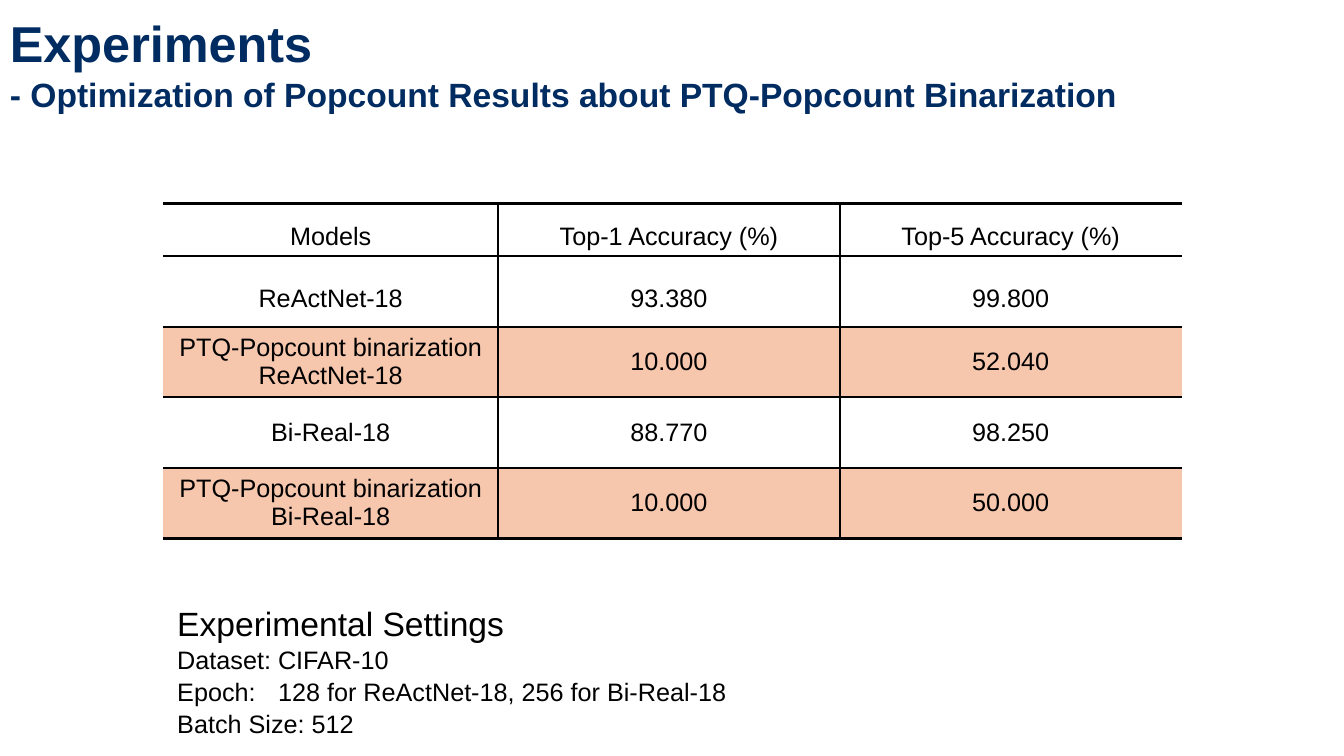
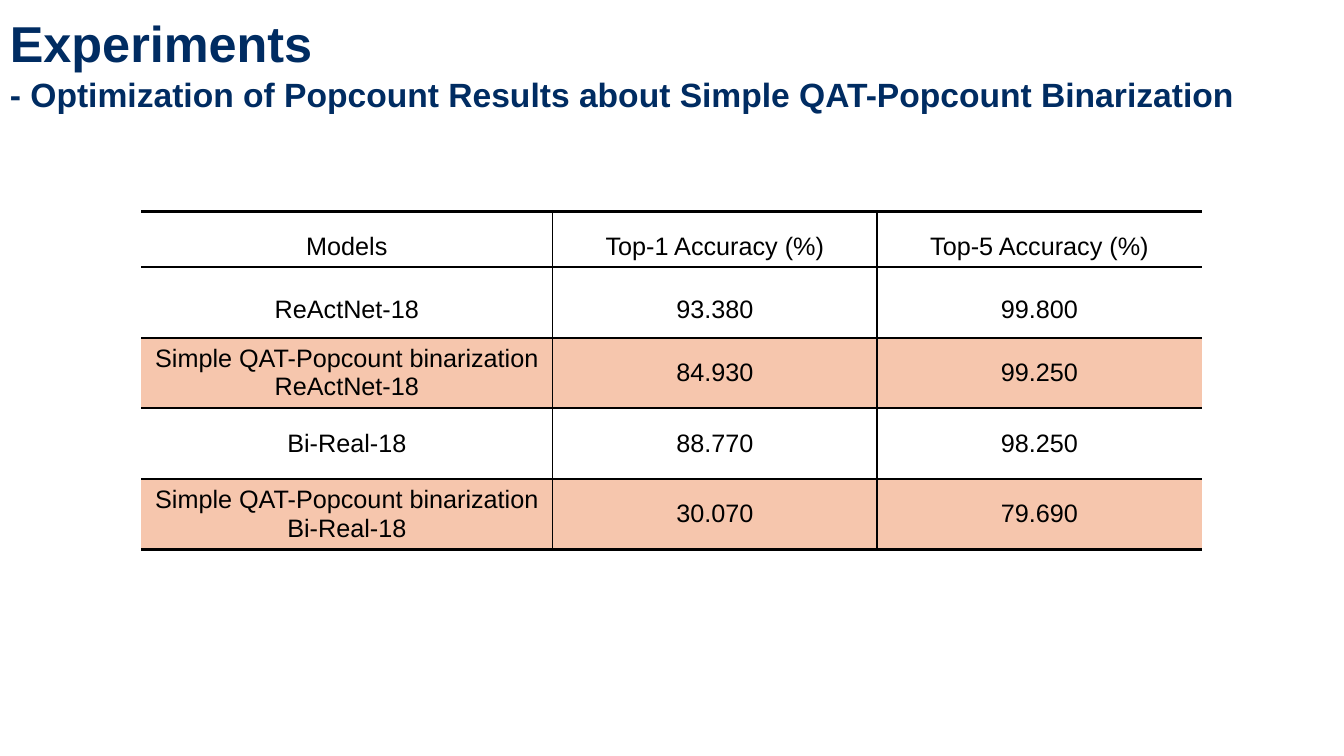
from lxml.etree import SubElement
from pptx import Presentation
from pptx.dml.color import RGBColor
from pptx.enum.text import MSO_ANCHOR, PP_ALIGN
from pptx.oxml.ns import qn
from pptx.util import Inches, Pt

FONT = "Arial"
NAVY = "002C62"
BLACK = "000000"
PEACH = "F6C6AD"
THIN, THICK = 1.5, 2.25
TEXT_SPACING = 1.05
HEADER_HEIGHT, ROW_HEIGHT = 0.52, 0.7
HEADINGS = ["Models", "Top-1 Accuracy (%)", "Top-5 Accuracy (%)"]


def color(hex_value):
    """Turn a hex string into a colour."""
    return RGBColor.from_string(hex_value)


def write_line(paragraph, text, size, hex_value=BLACK, bold=False):
    """Add one styled run to a paragraph."""
    run = paragraph.add_run()
    run.text = text
    run.font.name = FONT
    run.font.size = Pt(size)
    run.font.bold = bold
    run.font.color.rgb = color(hex_value)


def paragraphs_for(frame, lines):
    """Yield a paragraph of the frame together with each line."""
    for index, line in enumerate(lines):
        yield frame.paragraphs[0] if index == 0 else frame.add_paragraph(), line


def add_text(slide, box, lines, anchor=MSO_ANCHOR.TOP, tab=None, **style):
    """Add a text box with one paragraph for each (text, size) line."""
    frame = slide.shapes.add_textbox(*map(Inches, box)).text_frame
    frame.word_wrap = True
    frame.vertical_anchor = anchor
    for paragraph, (text, size) in paragraphs_for(frame, lines):
        paragraph.line_spacing = TEXT_SPACING
        if tab and "\t" in text:
            stops = SubElement(paragraph._p.get_or_add_pPr(), qn("a:tabLst"))
            SubElement(stops, qn("a:tab"), pos=str(Inches(tab)), algn="l")
        write_line(paragraph, text, size, **style)


def add_title(slide, subtitle):
    """Add the shared two-line title."""
    lines = [("Experiments", 36), (f"- {subtitle}", 24)]
    add_text(slide, (0, 0, 13.33, 1.22), lines, MSO_ANCHOR.MIDDLE,
             hex_value=NAVY, bold=True)


def set_border(cell, side, width):
    """Draw one cell edge, or clear it when the width is zero."""
    edge = SubElement(cell._tc.get_or_add_tcPr(), qn(f"a:ln{side}"), w=str(Pt(width)))
    if width:
        fill = SubElement(edge, qn("a:solidFill"))
        SubElement(fill, qn("a:srgbClr"), val=BLACK)
    else:
        SubElement(edge, qn("a:noFill"))


def fill_cell(cell, text, spacing, highlighted):
    """Write centred lines into a cell and set its background."""
    cell.vertical_anchor = MSO_ANCHOR.MIDDLE
    for paragraph, line in paragraphs_for(cell.text_frame, text.split("\n")):
        paragraph.alignment = PP_ALIGN.CENTER
        paragraph.line_spacing = spacing
        write_line(paragraph, line, 18)
    if highlighted:
        cell.fill.solid()
        cell.fill.fore_color.rgb = color(PEACH)
    else:
        cell.fill.background()


def add_results(slide, left, top, widths, results):
    """Add the accuracy table with open sides and highlighted binarized models."""
    rows = [HEADINGS, *results]
    heights = [HEADER_HEIGHT] + [ROW_HEIGHT] * len(results)
    box = map(Inches, (left, top, sum(widths), sum(heights)))
    table = slide.shapes.add_table(len(rows), len(widths), *box).table
    table.first_row = table.horz_banding = False
    for column, width in zip(table.columns, widths):
        column.width = Inches(width)
    last_row, last_column = len(rows) - 1, len(widths) - 1
    for r, (values, height) in enumerate(zip(rows, heights)):
        table.rows[r].height = Inches(height)
        for c, value in enumerate(values):
            cell = table.cell(r, c)
            set_border(cell, "L", THIN if c else 0)
            set_border(cell, "R", THIN if c < last_column else 0)
            set_border(cell, "T", THIN if r else THICK)
            set_border(cell, "B", THIN if r < last_row else THICK)
            fill_cell(cell, value, 1.5 if r < 2 else 1.0, "\n" in values[0])


def add_experiment(deck, method, left, top, widths, react_scores, bireal_scores):
    """Add a slide comparing the baselines with one binarization method."""
    slide = deck.slides.add_slide(deck.slide_layouts[6])
    add_results(slide, left, top, widths, [
        ["ReActNet-18", "93.380", "99.800"],
        [f"{method} binarization\nReActNet-18", *react_scores],
        ["Bi-Real-18", "88.770", "98.250"],
        [f"{method} binarization\nBi-Real-18", *bireal_scores],
    ])
    add_title(slide, f"Optimization of Popcount Results about {method} Binarization")
    return slide


def main():
    """Build and save the deck."""
    deck = Presentation()
    deck.slide_width, deck.slide_height = Inches(13.33), Inches(7.5)
    ptq_slide = add_experiment(deck, "PTQ-Popcount", 1.62, 2.02, (3.32, 3.39, 3.39),
                               ("10.000", "52.040"), ("10.000", "50.000"))
    add_text(ptq_slide, (1.66, 5.91, 8.4, 1.41), [
        ("Experimental Settings", 24),
        ("Dataset:\tCIFAR-10", 18),
        ("Epoch:\t128 for ReActNet-18, 256 for Bi-Real-18", 18),
        ("Batch Size: 512", 18),
    ], tab=1)
    add_experiment(deck, "Simple QAT-Popcount", 1.4, 2.1, (4.08, 3.22, 3.22),
                   ("84.930", "99.250"), ("30.070", "79.690"))
    deck.save("out.pptx")


if __name__ == "__main__":
    main()
